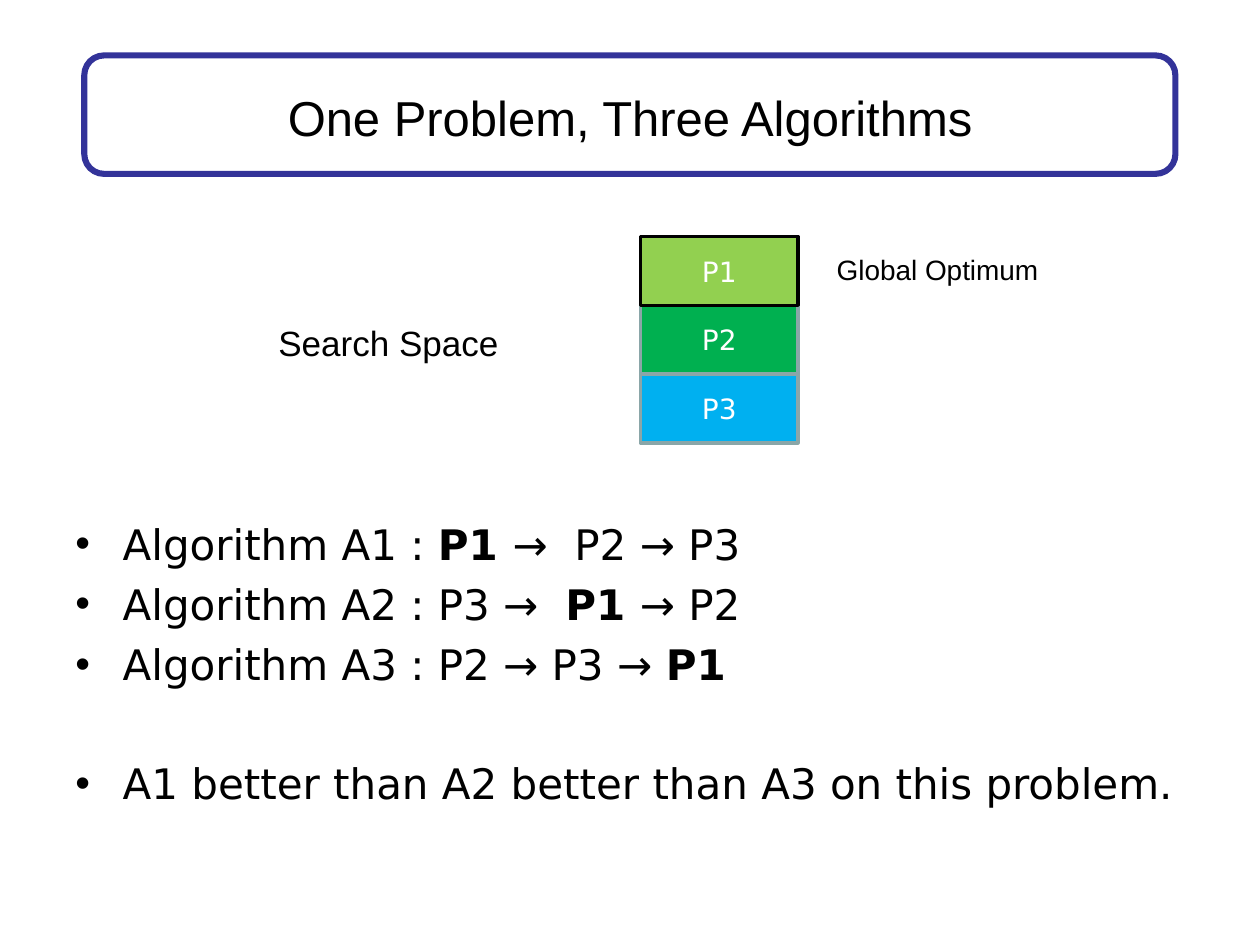
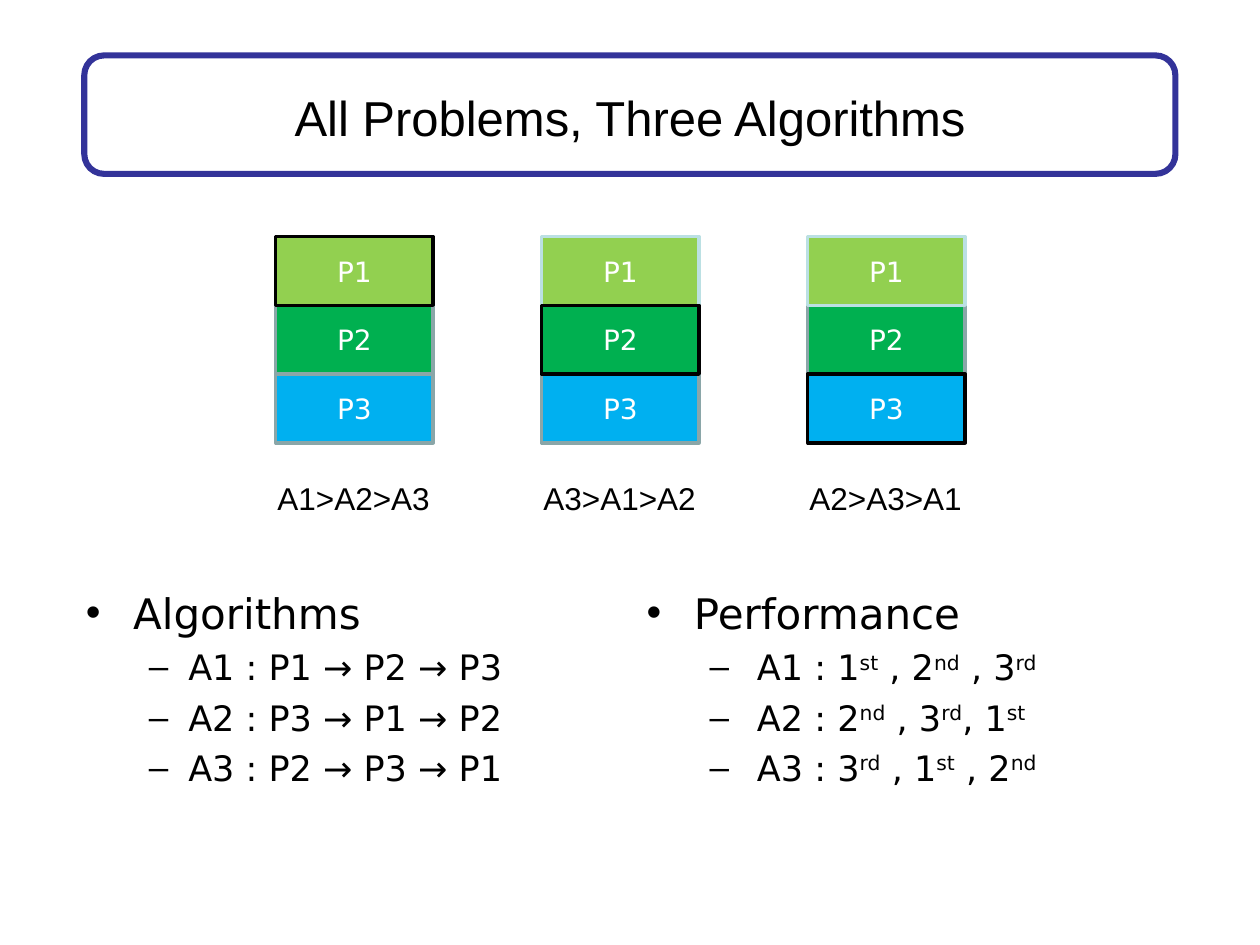
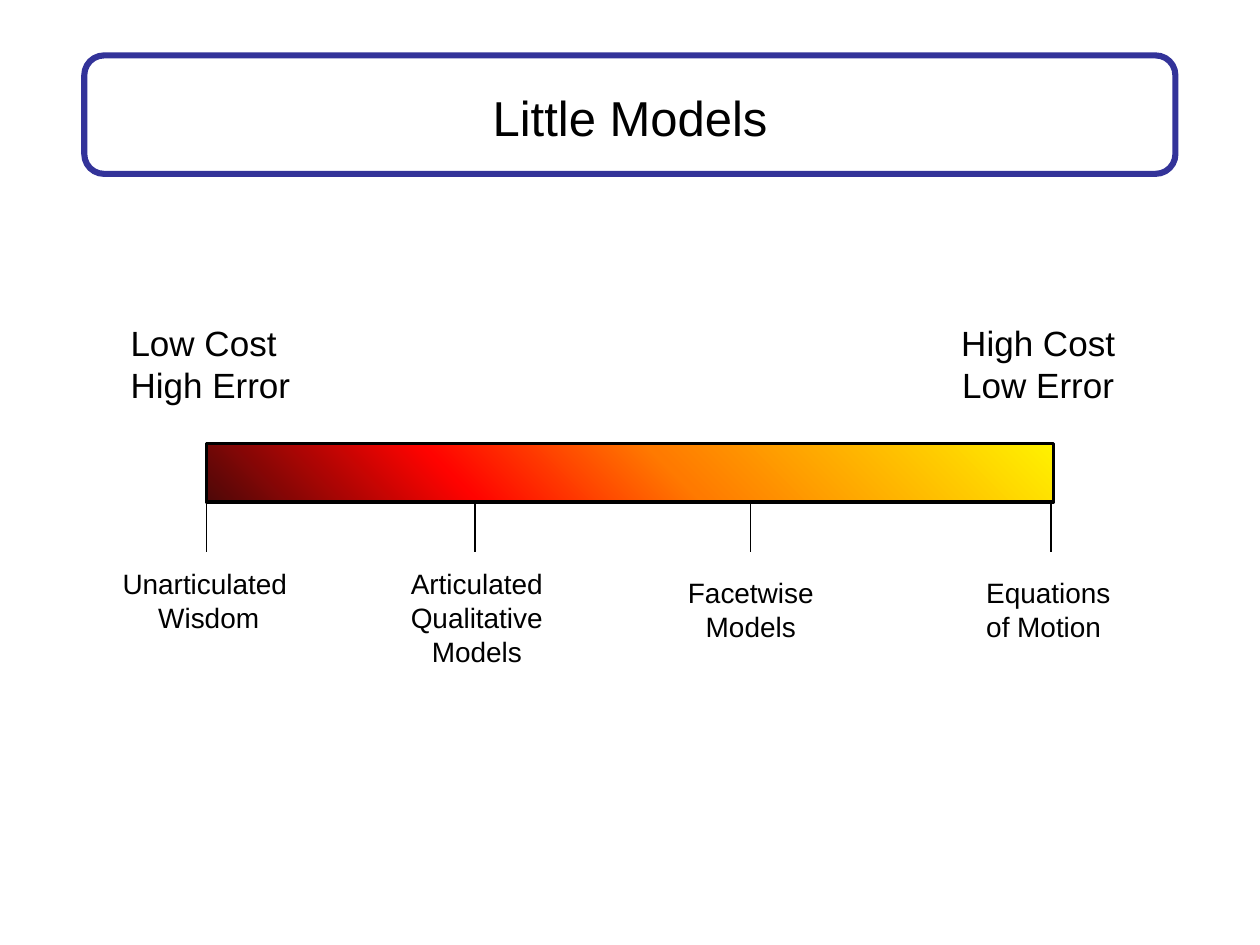
from lxml import etree
from pptx import Presentation
from pptx import util as u
from pptx.dml import color
from pptx.enum import shapes, text
from pptx.oxml import ns

Pt = u.Pt
LEFT, CENTER = text.PP_ALIGN.LEFT, text.PP_ALIGN.CENTER
SANS, BODY = "Arial", "DejaVu Sans"
BLACK, WHITE, NAVY, GRAY, PALE = "000000", "FFFFFF", "333399", "8AA6A8", "BBE0E3"
POINTS = {"P1": ("92D050", PALE), "P2": ("00B050", GRAY), "P3": ("00B0F0", GRAY)}
DRAW_ORDER = ("P2", "P1", "P3")
HEAT = ((0, "FFF200"), (45, "FF7A00"), (70, "FF0300"), (100, "4D0808"))
CELL_W, CELL_H = 90, 39.3
BULLETS = {
    0: {"char": "•", "size": 24, "before": 5.6},
    1: {"char": "–", "size": 20, "before": 4.7},
}


def rgb(value):
    return color.RGBColor.from_string(value)


def style(target, **values):
    for name, value in values.items():
        setattr(target, name, value)


def write(p, words, size, font=SANS, ink=BLACK):
    r = p.add_run()
    r.text = words
    style(r.font, size=Pt(size), name=font)
    r.font.color.rgb = rgb(ink)
    return r


def add_box(s, kind, box, line, weight, fill=None):
    sp = s.shapes.add_shape(kind, *map(Pt, box))
    sp.shadow.inherit = False
    sp.line.color.rgb = rgb(line)
    sp.line.width = Pt(weight)
    if fill:
        sp.fill.solid()
        sp.fill.fore_color.rgb = rgb(fill)
    else:
        sp.fill.background()
    return sp


def add_label(s, box, lines, size, align=LEFT, wrap=False, anchor=text.MSO_ANCHOR.TOP):
    tf = s.shapes.add_textbox(*map(Pt, box)).text_frame
    style(tf, word_wrap=wrap, vertical_anchor=anchor)
    for i, words in enumerate(lines):
        p = tf.paragraphs[0] if i == 0 else tf.add_paragraph()
        p.alignment = align
        write(p, words, size)


def add_title(s, words, box=(36, 21.6, 648, 90)):
    x, y, w, h = box
    frame = (x + 12.2, y + 10.1, w - 24.5, 67.7)
    add_box(s, shapes.MSO_SHAPE.ROUNDED_RECTANGLE, frame, NAVY, 3.5)
    add_label(s, box, [words], 28, CENTER, True, text.MSO_ANCHOR.MIDDLE)


def add_search_space(s, x, y, optimum):
    for name in sorted(DRAW_ORDER, key=lambda n: n == optimum):
        fill, line = POINTS[name]
        row = list(POINTS).index(name)
        sp = add_box(s, shapes.MSO_SHAPE.RECTANGLE, (x, y + row * CELL_H, CELL_W, CELL_H),
                     BLACK if name == optimum else line, 2, fill)
        style(sp.text_frame, vertical_anchor=text.MSO_ANCHOR.MIDDLE)
        p = sp.text_frame.paragraphs[0]
        p.alignment = CENTER
        write(p, name, 16, BODY, WHITE)


def add_bullets(s, box, items, indents, emphasis, last_gap=0):
    tf = s.shapes.add_textbox(*map(Pt, box)).text_frame
    tf.word_wrap = True
    for i, (level, words) in enumerate(items):
        look = BULLETS[level]
        margin, hang = indents[level]
        p = tf.paragraphs[0] if i == 0 else tf.add_paragraph()
        gap = last_gap if i == len(items) - 1 else 0
        style(p, level=level, space_before=Pt(look["before"] + gap))
        pPr = p._p.get_or_add_pPr()
        pPr.set("marL", str(Pt(margin)))
        pPr.set("indent", str(-Pt(hang)))
        etree.SubElement(pPr, ns.qn("a:buFont")).set("typeface", SANS)
        etree.SubElement(pPr, ns.qn("a:buChar")).set("char", look["char"])
        for n, part in enumerate(words.split("|")):
            if part:
                r = write(p, part, look["size"], BODY)
                if n % 2:
                    emphasis(r)


def bold(r):
    r.font.bold = True


def superscript(r):
    r._r.get_or_add_rPr().set("baseline", "30000")


def add_heat_bar(s, box):
    sp = add_box(s, shapes.MSO_SHAPE.RECTANGLE, box, BLACK, 2)
    sp.fill.gradient()
    sp.fill.gradient_angle = 225
    stops = sp._element.spPr.find(".//" + ns.qn("a:gsLst"))
    for stop in list(stops):
        stops.remove(stop)
    for position, value in HEAT:
        stop = etree.SubElement(stops, ns.qn("a:gs"))
        stop.set("pos", str(position * 1000))
        etree.SubElement(stop, ns.qn("a:srgbClr")).set("val", value)


def add_tick(s, x, y, length):
    c = s.shapes.add_connector(shapes.MSO_CONNECTOR.STRAIGHT, Pt(x), Pt(y), Pt(x), Pt(y + length))
    c.line.color.rgb = rgb(BLACK)
    c.line.width = Pt(0.75)
    etree.SubElement(c._element.spPr, ns.qn("a:effectLst"))


def one_problem(s):
    add_title(s, "One Problem, Three Algorithms")
    add_search_space(s, 366, 135.2, "P1")
    add_label(s, (152, 180, 141, 31.5), ["Search Space"], 20)
    add_label(s, (471, 140.5, 131, 26.6), ["Global Optimum"], 16)
    items = ["Algorithm A1 : |P1 |→  P2 → P3",
             "Algorithm A2 : P3 →  |P1 |→ P2",
             "Algorithm A3 : P2 → P3 → |P1",
             "A1 better than A2 better than A3 on this problem."]
    add_bullets(s, (36, 292.5, 648, 190), [(0, words) for words in items],
                [(27, 27)], bold, last_gap=33.5)


def all_problems(s):
    add_title(s, "All Problems, Three Algorithms")
    rankings = {"P1": "A1>A2>A3", "P2": "A3>A1>A2", "P3": "A2>A3>A1"}
    for i, (optimum, ranking) in enumerate(rankings.items()):
        x = 157.5 + 152 * i
        add_search_space(s, x, 135.2, optimum)
        add_label(s, (x - 6, 270, CELL_W + 12, 29), [ranking], 18)
    columns = [
        ((42, 332, 273.5, 150), (58.5, 22.5), "Algorithms",
         ["A1 : P1 → P2 → P3", "A2 : P3 → P1 → P2", "A3 : P2 → P3 → P1"]),
        ((362.5, 332, 268, 150), (63, 27), "Performance",
         ["A1 : 1|st| , 2|nd| , 3|rd", "A2 : 2|nd| , 3|rd|, 1|st",
          "A3 : 3|rd| , 1|st| , 2|nd"]),
    ]
    for box, indent, heading, lines in columns:
        items = [(0, heading)] + [(1, words) for words in lines]
        add_bullets(s, box, items, [(27, 27), indent], superscript)


def little_models(s):
    add_title(s, "Little Models")
    x, y, w, h = bar = (118, 253.3, 484, 33.6)
    add_heat_bar(s, bar)
    add_label(s, (x - 50.5, y - 73.3, 106.5, 55.5), ["Low Cost", "High Error"], 20)
    add_label(s, (x + w - 62, y - 73.3, 106.5, 55.5), ["High Cost", "Low Error"], 20, CENTER)
    models = [
        (0, -56, 0, 114.5, CENTER, ["Unarticulated ", "Wisdom"]),
        (153.5, -44.5, 0, 91, CENTER, ["Articulated", "Qualitative", "Models"]),
        (311, -43.5, 5, 87, CENTER, ["Facetwise", "Models"]),
        (482.5, -44, 5, 86.5, LEFT, ["Equations", "of Motion"]),
    ]
    for tick, shift, drop, width, align, lines in models:
        add_tick(s, x + tick, y + h, 28.5)
        box = (x + tick + shift, y + h + 33.5 + drop, width, 7.2 + 19.4 * len(lines))
        add_label(s, box, lines, 16, align)


def main():
    prs = Presentation()
    style(prs, slide_width=Pt(720), slide_height=Pt(540))
    for build in (one_problem, all_problems, little_models):
        build(prs.slides.add_slide(prs.slide_layouts[6]))
    prs.save("out.pptx")


if __name__ == "__main__":
    main()
